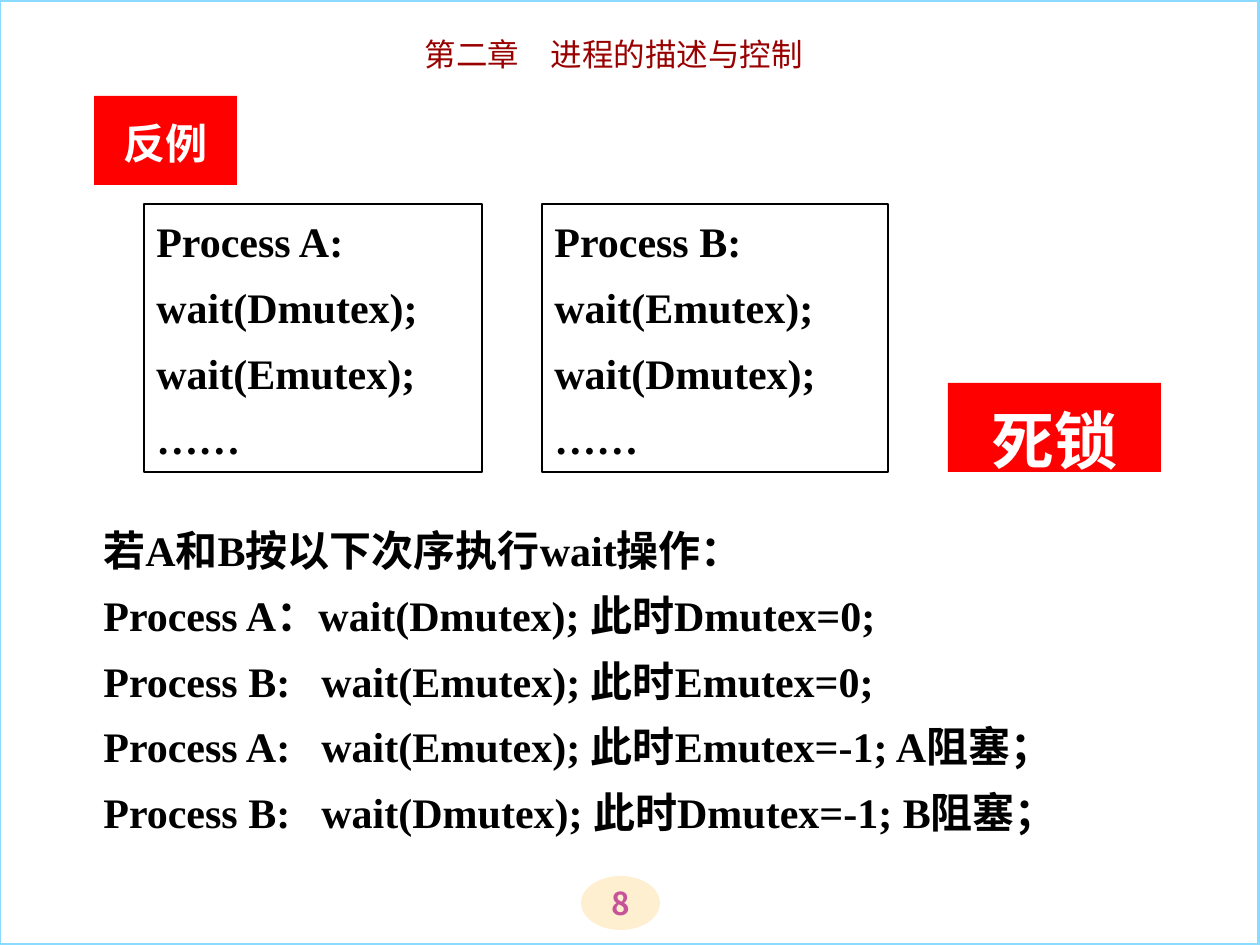
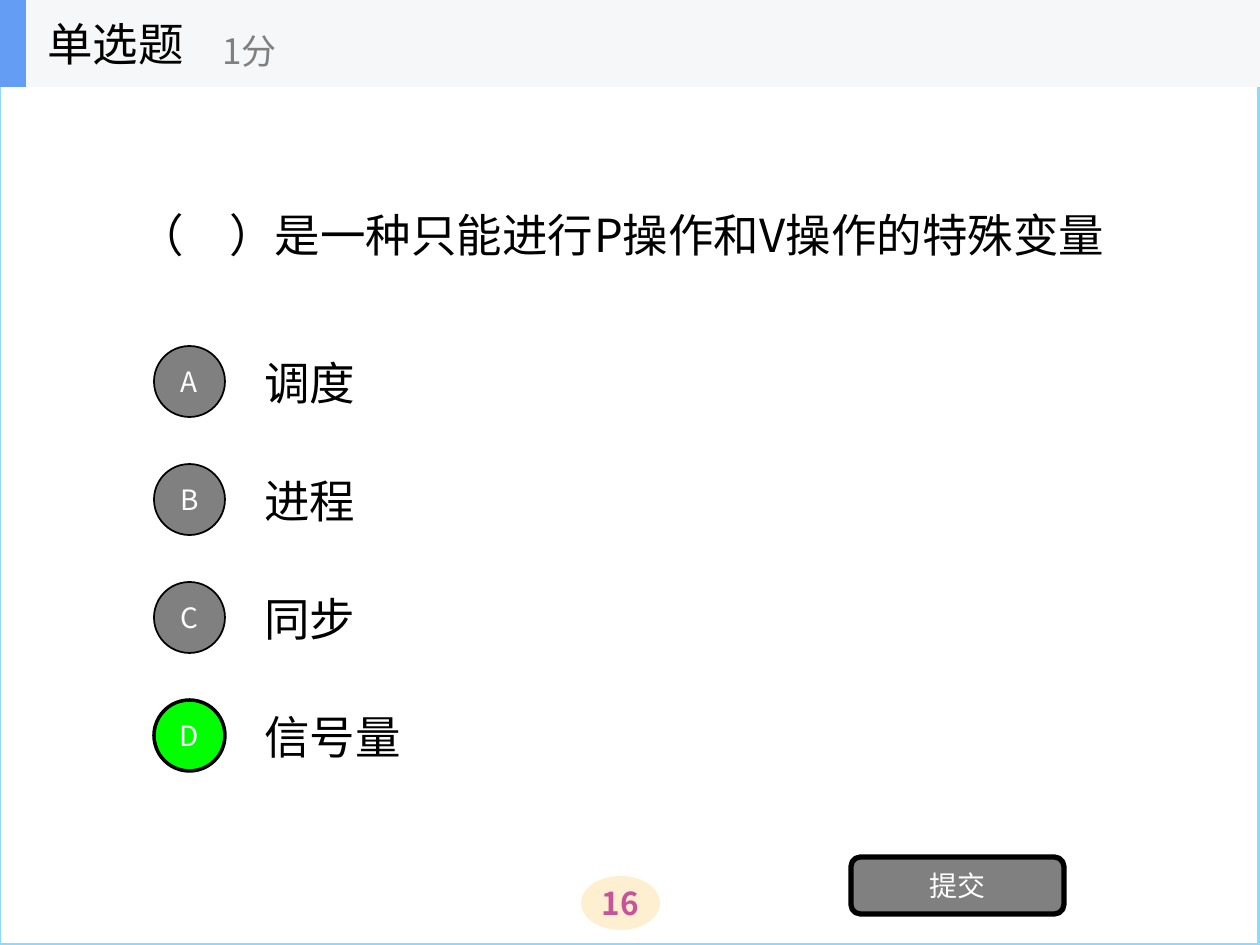
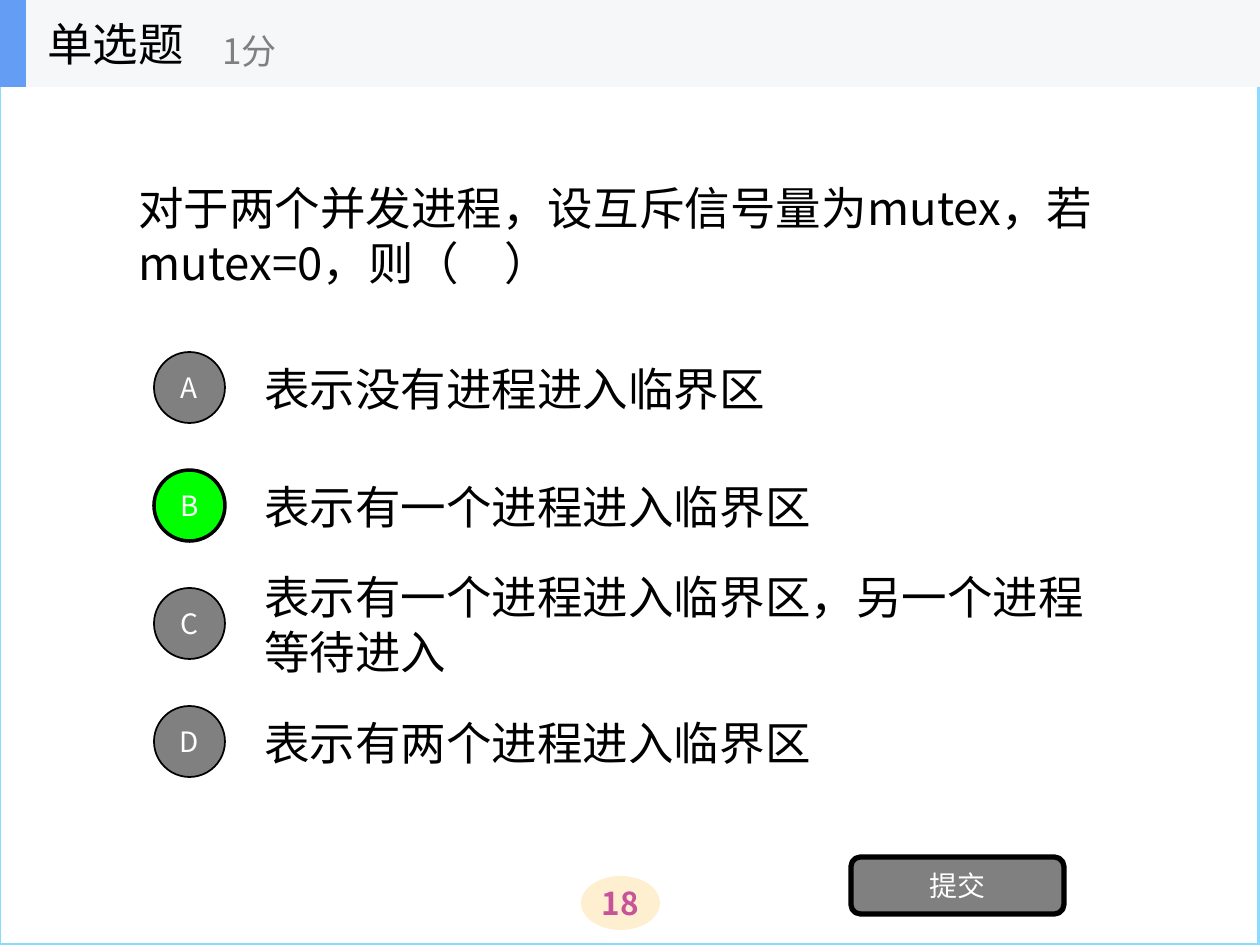
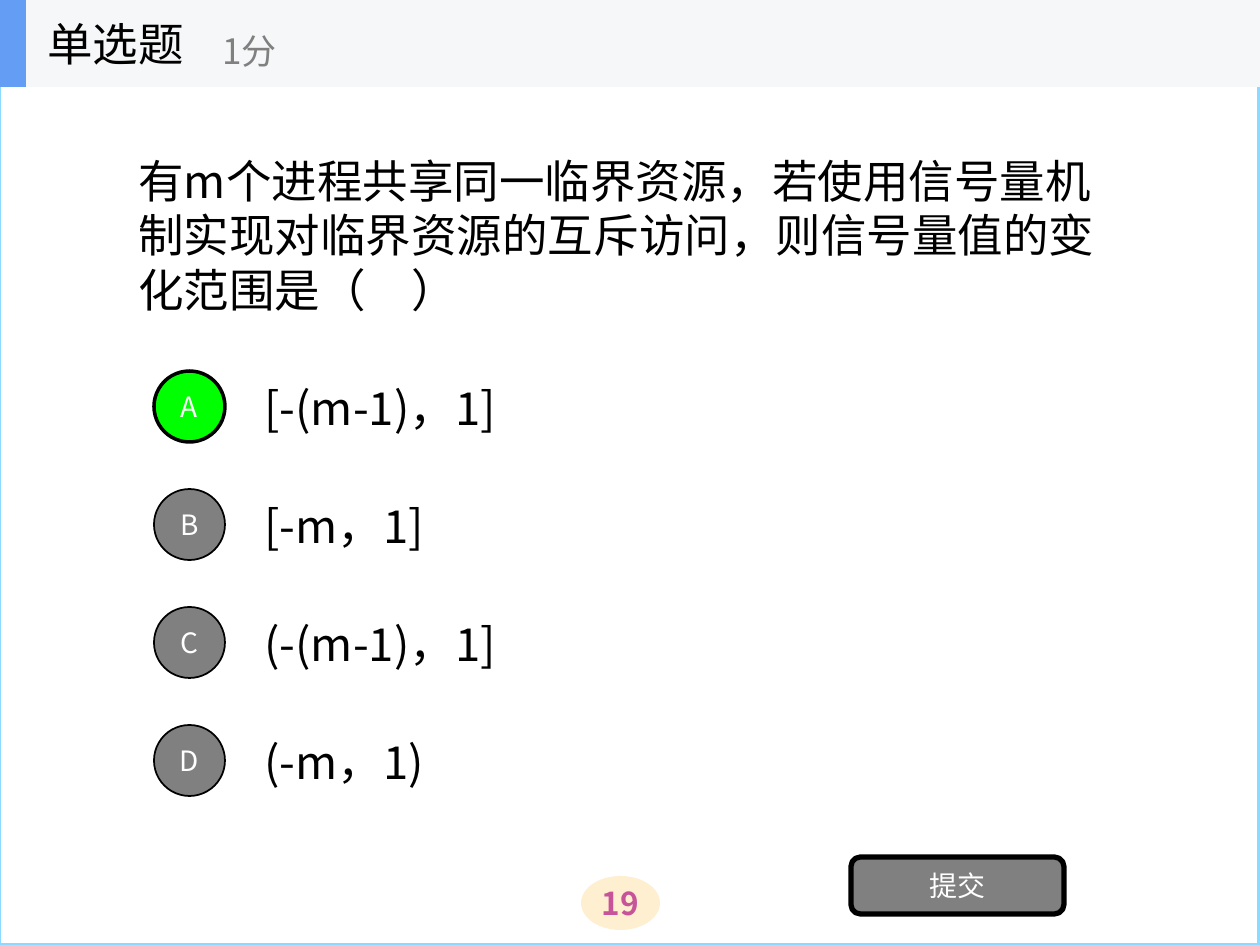
import pptx
import pptx.dml.color
import pptx.enum.shapes
import pptx.enum.text
import pptx.util
from lxml import etree
from pptx.oxml.ns import qn

PX = pptx.util.Inches(1) / 126
SANS = "Noto Sans CJK SC"
SERIF = "Times New Roman"
BLACK, WHITE, GREY, RED, GREEN = "000000", "FFFFFF", "808080", "FF0000", "00FF00"
BORDER, PAGE_OVAL, PAGE_NUMBER, CHAPTER = "8ADBFF", "FFEFD1", "C75399", "990000"
HEADER_BAND, HEADER_ACCENT = "F6F7F8", "639EF4"

Preset = pptx.enum.shapes.MSO_SHAPE
MIDDLE = pptx.enum.text.MSO_ANCHOR.MIDDLE
TOP = pptx.enum.text.MSO_ANCHOR.TOP
CENTER = pptx.enum.text.PP_ALIGN.CENTER
LEFT = pptx.enum.text.PP_ALIGN.LEFT


def rgb(hex_code):
    return pptx.dml.color.RGBColor.from_string(hex_code)


def add_text(shapes, text, box, *, preset=None, fill=None, line=None, line_width=1,
             size=26, font=SANS, color=BLACK, bold=False, align=LEFT, anchor=MIDDLE,
             wrap=True, inset=None, line_spacing=None, space_before=0, tab=None):
    """Add a text box, or a preset shape, at box = (left, top, width, height) in px.

    Each line of text becomes a paragraph; space_before skips the first one.
    """
    place = [round(length * PX) for length in box]
    if preset is None:
        item = shapes.add_textbox(*place)
    else:
        item = shapes.add_shape(preset, *place)
        item.shadow.inherit = False
        if fill:
            item.fill.solid()
            item.fill.fore_color.rgb = rgb(fill)
        else:
            item.fill.background()
        if line:
            item.line.color.rgb = rgb(line)
            item.line.width = pptx.util.Pt(line_width)
        else:
            item.line.fill.background()
    if not text:
        return
    frame = item.text_frame
    frame.word_wrap = wrap
    frame.vertical_anchor = anchor
    if inset is not None:
        frame.margin_left = frame.margin_right = inset
        frame.margin_top = frame.margin_bottom = inset
    for index, words in enumerate(text.split("\n")):
        paragraph = frame.paragraphs[0] if index == 0 else frame.add_paragraph()
        paragraph.alignment = align
        if line_spacing:
            paragraph.line_spacing = line_spacing
        if index and space_before:
            paragraph.space_before = pptx.util.Pt(space_before)
        if tab:
            stops = etree.SubElement(paragraph._p.get_or_add_pPr(), qn("a:tabLst"))
            etree.SubElement(stops, qn("a:tab"), pos=str(round(tab * PX)), algn="l")
        run = paragraph.add_run()
        run.text = words
        run.font.size = pptx.util.Pt(size)
        run.font.bold = bold
        run.font.color.rgb = rgb(color)
        run.font.name = font
        east_asian = SANS if font == SERIF else font
        etree.SubElement(run._r.get_or_add_rPr(), qn("a:ea"), typeface=east_asian)


deck = pptx.Presentation()
deck.slide_width = round(1260 * PX)
deck.slide_height = round(945 * PX)

# Every slide: page number and border
slides = {}
for number in (8, 16, 18, 19):
    slide = deck.slides.add_slide(deck.slide_layouts[6])
    add_text(slide.shapes, str(number), (581, 876, 79, 54), preset=Preset.OVAL,
             fill=PAGE_OVAL, size=18, color=PAGE_NUMBER, bold=True, align=CENTER, inset=0)
    add_text(slide.shapes, "", (-1, 0, 1260, 945), preset=Preset.RECTANGLE,
             line=BORDER, line_width=2.25)
    slides[number] = slide

# Deadlock example
example = slides[8].shapes
add_text(example, "第二章　进程的描述与控制", (262, 29, 704, 50), size=18,
         font="Noto Sans CJK JP", color=CHAPTER, align=CENTER, anchor=TOP)

red_label = dict(preset=Preset.RECTANGLE, fill=RED, font=SERIF, color=WHITE,
                 bold=True, align=CENTER, line_spacing=1.3)
add_text(example, "反例", (94, 96, 143, 89), size=24, anchor=TOP, **red_label)

body = dict(size=24, font=SERIF, bold=True, anchor=TOP)
processes = [
    ("Process A:\nwait(Dmutex);\nwait(Emutex);\n……", 144, 338),
    ("Process B:\nwait(Emutex);\nwait(Dmutex);\n……", 542, 346),
]
for code, left, width in processes:
    add_text(example, code, (left, 204, width, 268), preset=Preset.RECTANGLE,
             line=BLACK, line_width=0.75, line_spacing=1.1, space_before=6, **body)

steps = """若A和B按以下次序执行wait操作：
Process A：wait(Dmutex); 此时Dmutex=0;
Process B:\twait(Emutex); 此时Emutex=0;
Process A:\twait(Emutex); 此时Emutex=-1; A阻塞；
Process B:\twait(Dmutex); 此时Dmutex=-1; B阻塞；"""
add_text(example, steps, (91, 503, 1052, 336), line_spacing=1.3, tab=218, **body)
add_text(example, "死锁", (948, 383, 213, 89), size=36, **red_label)

# Single-choice questions: page, question, options, answer, top of first option
questions = [
    (16, "（　）是一种只能进行P操作和V操作的特殊变量",
     ["调度", "进程", "同步", "信号量"], "D", 338),
    (18, "对于两个并发进程，设互斥信号量为mutex，若mutex=0，则（　）",
     ["表示没有进程进入临界区", "表示有一个进程进入临界区",
      "表示有一个进程进入临界区，另一个进程等待进入", "表示有两个进程进入临界区"], "B", 344),
    (19, "有m个进程共享同一临界资源，若使用信号量机制实现对临界资源的互斥访问，"
         "则信号量值的变化范围是（　）",
     ["[-(m-1)，1]", "[-m，1]", "(-(m-1)，1]", "(-m，1)"], "A", 363),
]
OPTION_PITCH = 118
button = dict(line=BLACK, size=16, color=WHITE, align=CENTER)

for number, question, options, answer, first_top in questions:
    shapes = slides[number].shapes
    add_text(shapes, question, (126, 87, 1008, 295))
    for index, (letter, option) in enumerate(zip("ABCD", options)):
        top = first_top + index * OPTION_PITCH
        correct = letter == answer
        add_text(shapes, option, (252, top, 882, 88))
        add_text(shapes, letter, (154, top + 8, 71, 71), preset=Preset.OVAL,
                 fill=GREEN if correct else GREY, line_width=2 if correct else 1, **button)
    add_text(shapes, "提交", (851, 857, 213, 57), preset=Preset.ROUNDED_RECTANGLE,
             fill=GREY, line_width=3, **button)

    header = shapes.add_group_shape().shapes
    add_text(header, "", (0, 0, 1260, 87), preset=Preset.RECTANGLE, fill=HEADER_BAND)
    add_text(header, "", (0, 0, 26, 87), preset=Preset.RECTANGLE, fill=HEADER_ACCENT)
    add_text(header, "单选题", (35, 0, 262, 87), wrap=False)
    add_text(header, "1分", (210, 15, 315, 71), size=20, color=GREY, wrap=False)

deck.save("out.pptx")
